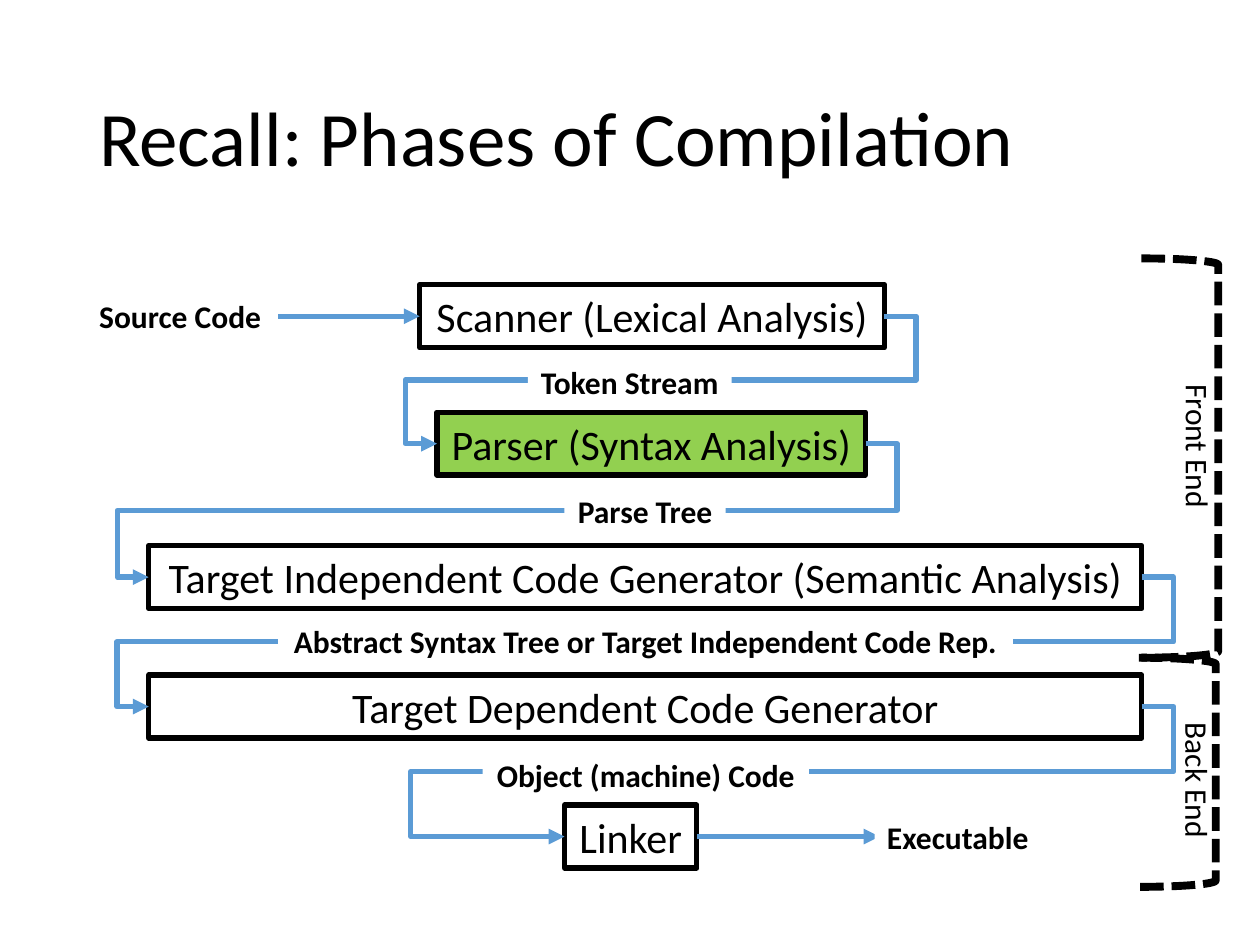
import pptx
import pptx.dml.color
import pptx.enum.dml
import pptx.enum.shapes
import pptx.enum.text
import pptx.oxml
import pptx.oxml.ns
import pptx.util

Cm = pptx.util.Cm
Pt = pptx.util.Pt
SHAPE = pptx.enum.shapes.MSO_SHAPE
CONNECTOR = pptx.enum.shapes.MSO_CONNECTOR
ALIGN = pptx.enum.text.PP_ALIGN
ANCHOR = pptx.enum.text.MSO_ANCHOR
NAMESPACE = pptx.oxml.ns.nsdecls("a")

BLACK, WHITE, GREEN, BLUE = "000000", "FFFFFF", "92D050", "5B9BD5"
BOX_HEIGHT, LABEL_HEIGHT, STUB = 1.27, 1.02, 0.64

deck = pptx.Presentation()
deck.slide_width, deck.slide_height = Cm(25.4), Cm(19.05)
page = deck.slides.add_slide(deck.slide_layouts[6])


def paint(target, color):
    """Give a fill, or the fill of a line, a solid hex colour."""
    target.solid()
    target.fore_color.rgb = pptx.dml.color.RGBColor.from_string(color)


def add_box(frame, text="", size=18, fill=None, line=None, width=3,
            bold=False, align=ALIGN.LEFT, wrap=False, kind=SHAPE.RECTANGLE):
    """Add a shape in a frame (left, top, width, height in cm) with its text."""
    box = page.shapes.add_shape(kind, *map(Cm, frame))
    box.shadow.inherit = False
    if fill:
        paint(box.fill, fill)
    else:
        box.fill.background()
    if line:
        paint(box.line.fill, line)
        box.line.width = Pt(width)
    else:
        box.line.fill.background()
    box.text_frame.word_wrap = wrap
    box.text_frame.vertical_anchor = ANCHOR.TOP
    para = box.text_frame.paragraphs[0]
    para.alignment = align
    if text:
        span = para.add_run()
        span.text = text
        for name, value in {"name": "Calibri", "size": Pt(size), "bold": bold}.items():
            setattr(span.font, name, value)
        paint(span.font.fill, BLACK)
    return box


title = add_box((1.75, 1.02, 21.89, 3.68), "Recall: Phases of Compilation", 44, wrap=True)
title.text_frame.vertical_anchor = ANCHOR.MIDDLE
title.text_frame.paragraphs[0].line_spacing = 0.9

# Phases: text, left, top, width, fill
phases = [
    ("Scanner (Lexical Analysis)", 8.46, 5.74, 9.37, None),
    ("Parser (Syntax Analysis)", 8.81, 8.31, 8.64, GREEN),
    ("Target Independent Code Generator (Semantic Analysis)", 3, 11, 20.02, None),
    ("Target Dependent Code Generator", 3, 13.61, 20.02, None),
    ("Linker", 11.38, 16.23, 2.67, None),
]
for text, left, top, width, fill in phases:
    add_box((left, top, width, BOX_HEIGHT), text, 24, fill, BLACK,
            align=ALIGN.CENTER, wrap=True)

# Arrows: start x, start y, end x, end y, reach left of the end
middle = BOX_HEIGHT / 2
arrows = []
for start, end in zip(phases, phases[1:]):
    reach = 3.1 if end[0] == "Linker" else STUB
    arrows.append((start[1] + start[3], start[2] + middle, end[1], end[2] + middle, reach))
scanner, linker = phases[0], phases[-1]
scanner_y, linker_y = scanner[2] + middle, linker[2] + middle
arrows.append((linker[1] + linker[3], linker_y, 17.73, linker_y, 0))
arrows.append((5.61, scanner_y, scanner[1], scanner_y, 0))

for x1, y1, x2, y2, reach in arrows:
    kind = CONNECTOR.ELBOW if reach else CONNECTOR.STRAIGHT
    arrow = page.shapes.add_connector(kind, Cm(x1), Cm(y1), Cm(x2), Cm(y2))
    paint(arrow.line.fill, BLUE)
    arrow.line.width = Pt(3)
    properties = arrow._element.spPr
    line = properties.find(pptx.oxml.ns.qn("a:ln"))
    line.append(pptx.oxml.parse_xml(f'<a:tailEnd {NAMESPACE} type="triangle"/>'))
    properties.append(pptx.oxml.parse_xml(f"<a:effectLst {NAMESPACE}/>"))
    if reach:
        span_x = x1 - x2
        bends = (-STUB / span_x, 0.5, 1 + reach / span_x)
        guides = "".join(f'<a:gd name="adj{number}" fmla="val {round(bend * 100000)}"/>'
                         for number, bend in enumerate(bends, 1))
        geometry = properties.find(pptx.oxml.ns.qn("a:prstGeom"))
        geometry.set("prst", "bentConnector5")
        for old in list(geometry):
            geometry.remove(old)
        geometry.append(pptx.oxml.parse_xml(f"<a:avLst {NAMESPACE}>{guides}</a:avLst>"))

# Labels: text, left, top, width, alignment
labels = [
    ("Source Code", 1.75, 5.87, 3.78, ALIGN.LEFT),
    ("Executable", 17.63, 16.36, 3.38, ALIGN.LEFT),
    ("Token Stream", 10.64, 7.19, 4.11, ALIGN.CENTER),
    ("Parse Tree", 11.38, 9.8, 3.25, ALIGN.CENTER),
    ("Abstract Syntax Tree or Target Independent Code Rep.", 5.61, 12.42, 14.81, ALIGN.CENTER),
    ("Object (machine) Code", 9.73, 15.11, 6.58, ALIGN.CENTER),
]
for text, left, top, width, align in labels:
    add_box((left, top, width, LABEL_HEIGHT), text, fill=WHITE, bold=True, align=align)

# Ends: text, its frame, frame of the bracket
ends = [
    ("Front End", (22.63, 8.51, 3.05, LABEL_HEIGHT), (23.01, 5.21, 1.55, 8.05)),
    ("Back End", (22.71, 15.24, 2.87, LABEL_HEIGHT), (22.96, 13.26, 1.55, 4.62)),
]
for text, frame, bracket_frame in ends:
    bracket = add_box(bracket_frame, line=BLACK, width=4.5, kind=SHAPE.RIGHT_BRACKET)
    bracket.line.dash_style = pptx.enum.dml.MSO_LINE.SQUARE_DOT
    add_box(frame, text).rotation = 90

deck.save("out.pptx")
